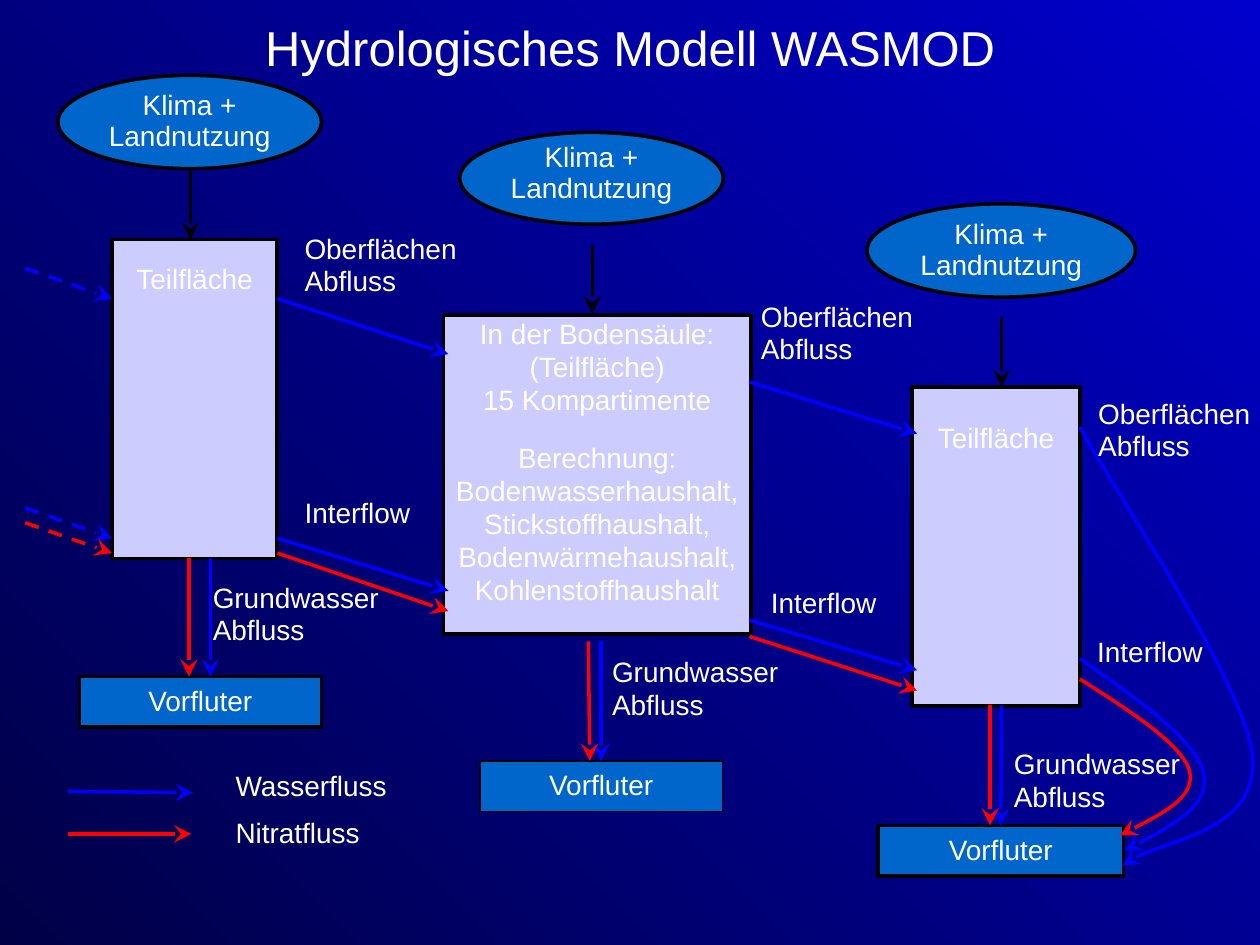
from lxml.etree import SubElement
from pptx import Presentation
from pptx.dml.color import RGBColor
from pptx.enum.dml import MSO_LINE
from pptx.enum.shapes import MSO_CONNECTOR, MSO_SHAPE
from pptx.enum.text import MSO_ANCHOR as Anchor, PP_ALIGN as Align
from pptx.oxml.ns import qn
from pptx.util import Cm, Pt

rgb = RGBColor.from_string
WHITE, BLACK, BLUE, RED = "FFFFFF", "000000", "0000FF", "FF0000"
WATER_BODY, SOIL = "0066CC", "CCCCFF"


def write(frame, text, align, size=16):
    frame.text = text
    for position, paragraph in enumerate(frame.paragraphs):
        paragraph.alignment = align
        paragraph.line_spacing = 0.98 if position else 0.93
        for run in paragraph.runs:
            run.font.name = "Arial"
            run.font.size = Pt(size)
            run.font.color.rgb = rgb(WHITE)


def style_flow(flow, colour, dashed=False):
    flow.line.color.rgb = rgb(colour)
    flow.line.width = Pt(2)
    if dashed:
        flow.line.dash_style = MSO_LINE.DASH
    properties = flow.element.spPr
    SubElement(properties.find(qn("a:ln")), qn("a:tailEnd"), type="stealth", w="lg", len="lg")
    if properties.find(qn("a:effectLst")) is None:
        SubElement(properties, qn("a:effectLst"))


prs = Presentation()
prs.slide_width, prs.slide_height = Cm(25.4), Cm(19.05)
slide = prs.slides.add_slide(prs.slide_layouts[5])
shapes = slide.shapes

backdrop = slide.background.fill
backdrop.gradient()
backdrop.gradient_angle = 225
for stop, colour in zip(backdrop.gradient_stops, ("0000CC", "000047")):
    stop.color.rgb = rgb(colour)

title = shapes.title
title.left, title.top, title.width, title.height = Cm(1.27), Cm(-0.08), Cm(22.86), Cm(1.75)
write(title.text_frame, "Hydrologisches Modell WASMOD", Align.CENTER, 28)
title.text_frame.paragraphs[0].line_spacing = 1.0
title.text_frame.vertical_anchor = Anchor.BOTTOM

climate_text = "Klima + Landnutzung"
soil_column_text = "\n".join([
    "In der Bodensäule:", "(Teilfläche)", "15 Kompartimente",
    "Berechnung:", "Bodenwasserhaushalt,", "Stickstoffhaushalt,",
    "Bodenwärmehaushalt,", "Kohlenstoffhaushalt",
])
ellipse, rectangle = MSO_SHAPE.OVAL, MSO_SHAPE.RECTANGLE
top, middle = Anchor.TOP, Anchor.MIDDLE
stations = [
    (ellipse, 1.17, 1.52, 5.31, 1.88, WATER_BODY, 2, climate_text, middle, 0, 0),
    (rectangle, 2.26, 4.83, 3.33, 6.43, SOIL, 2, "Teilfläche", top, 0.51, 0),
    (rectangle, 1.6, 13.64, 4.88, 1.02, WATER_BODY, 2, "Vorfluter", middle, 0, 0),
    (ellipse, 9.27, 2.67, 5.31, 1.85, WATER_BODY, 2, climate_text, middle, 0, 0.2),
    (rectangle, 8.94, 6.35, 6.2, 6.43, SOIL, 2, soil_column_text, top, 0.1, 0),
    (rectangle, 9.68, 15.34, 4.88, 1.02, WATER_BODY, 0.75, "Vorfluter", middle, 0, 0),
    (ellipse, 17.48, 4.11, 5.41, 1.88, WATER_BODY, 2, climate_text, middle, 0, 0),
    (rectangle, 18.39, 7.8, 3.38, 6.43, SOIL, 2, "Teilfläche", top, 0.74, 0),
    (rectangle, 17.7, 16.64, 4.95, 1.02, WATER_BODY, 2, "Vorfluter", middle, 0, 0),
]
drawn = []
for form, x, y, width, height, colour, border, text, anchor, above, below in stations:
    station = shapes.add_shape(form, Cm(x), Cm(y), Cm(width), Cm(height))
    station.shadow.inherit = False
    station.fill.solid()
    station.fill.fore_color.rgb = rgb(colour)
    station.line.color.rgb = rgb(BLACK)
    station.line.width = Pt(border)
    frame = station.text_frame
    frame.word_wrap = True
    frame.vertical_anchor = anchor
    frame.margin_left = frame.margin_right = Cm(0)
    frame.margin_top, frame.margin_bottom = Cm(above), Cm(below)
    write(frame, text, Align.CENTER)
    drawn.append(station)
soil_column, middle_drain, right_drain = drawn[4], drawn[5], drawn[8]
soil_column.text_frame.paragraphs[3].space_before = Pt(14.5)

flows = [
    (3.84, 3.4, 3.84, 4.83, BLACK, False, None),
    (11.94, 4.93, 11.94, 6.32, BLACK, False, None),
    (20.19, 6.4, 20.19, 7.8, BLACK, False, None),
    (0.51, 5.41, 2.26, 6.02, BLUE, True, None),
    (0.51, 10.24, 2.26, 10.85, BLUE, True, None),
    (0.51, 10.54, 2.26, 11.15, RED, True, None),
    (5.59, 6.02, 9.04, 7.14, BLUE, False, None),
    (5.59, 10.85, 9.04, 11.91, BLUE, False, None),
    (5.59, 11.15, 9.04, 12.32, RED, False, None),
    (15.11, 7.7, 18.49, 8.74, BLUE, False, None),
    (15.11, 12.5, 18.49, 13.51, BLUE, False, None),
    (15.11, 12.83, 18.49, 13.92, RED, False, None),
    (4.24, 11.25, 4.24, 13.64, BLUE, False, None),
    (3.81, 11.25, 3.81, 13.64, RED, False, None),
    (12.12, 12.93, 12.12, 15.34, BLUE, False, middle_drain),
    (11.86, 12.93, 11.89, 15.34, RED, False, None),
    (20.19, 14.22, 20.19, 16.64, BLUE, False, right_drain),
    (19.96, 14.22, 19.96, 16.64, RED, False, None),
    (1.37, 15.95, 3.89, 15.98, BLUE, False, None),
    (1.37, 16.81, 3.86, 16.81, RED, False, None),
]
for x1, y1, x2, y2, colour, dashed, target in flows:
    flow = shapes.add_connector(MSO_CONNECTOR.STRAIGHT, Cm(x1), Cm(y1), Cm(x2), Cm(y2))
    if target is not None:
        flow.end_connect(target, 0)
    style_flow(flow, colour, dashed)

curved_flows = [
    (BLUE, [(21.77, 8.61), (22.35, 9.7), (25.1, 13.77), (25.25, 15.24),
            (25.37, 16.71), (23.19, 16.97), (22.63, 17.45)]),
    (RED, [(21.77, 13.69), (22.81, 14.35), (23.83, 15.01), (23.98, 15.54),
           (24.1, 16.05), (23.34, 16.46), (22.58, 16.84)]),
    (BLUE, [(21.77, 13.28), (22.94, 14.1), (24.1, 14.91), (24.26, 15.57),
            (24.41, 16.21), (23.55, 16.69), (22.68, 17.15)]),
]
for colour, points in curved_flows:
    start, *controls = [(Cm(x), Cm(y)) for x, y in points]
    builder = shapes.build_freeform(*start)
    builder.add_line_segments(controls, close=False)
    curve = builder.convert_to_shape()
    curve.shadow.inherit = False
    curve.fill.background()
    style_flow(curve, colour)
    segments = list(curve.element.iter(qn("a:lnTo")))
    outline = segments[0].getparent()
    for first in range(0, len(segments), 3):
        bezier = SubElement(outline, qn("a:cubicBezTo"))
        for segment in segments[first:first + 3]:
            bezier.append(segment[0])
            outline.remove(segment)

surface, ground = "Oberflächen\nAbfluss", "Grundwasser\nAbfluss"
labels = [
    (5.89, 4.6, 3.5, surface),
    (15.09, 5.97, 3.5, surface),
    (21.89, 7.92, 3.5, surface),
    (5.89, 9.93, 2.64, "Interflow"),
    (15.29, 11.73, 2.64, "Interflow"),
    (21.87, 12.73, 2.64, "Interflow"),
    (4.04, 11.63, 4.3, ground),
    (12.09, 13.13, 4.3, ground),
    (20.19, 14.99, 4.3, ground),
    (4.5, 15.42, 3.58, "Wasserfluss"),
    (4.5, 16.38, 3.58, "Nitratfluss"),
]
for x, y, width, text in labels:
    height = 1.55 if "\n" in text else 0.89
    label = shapes.add_textbox(Cm(x), Cm(y), Cm(width), Cm(height))
    label.text_frame.word_wrap = True
    label.text_frame.margin_right = Cm(0)
    write(label.text_frame, text, Align.LEFT)

prs.save("out.pptx")
